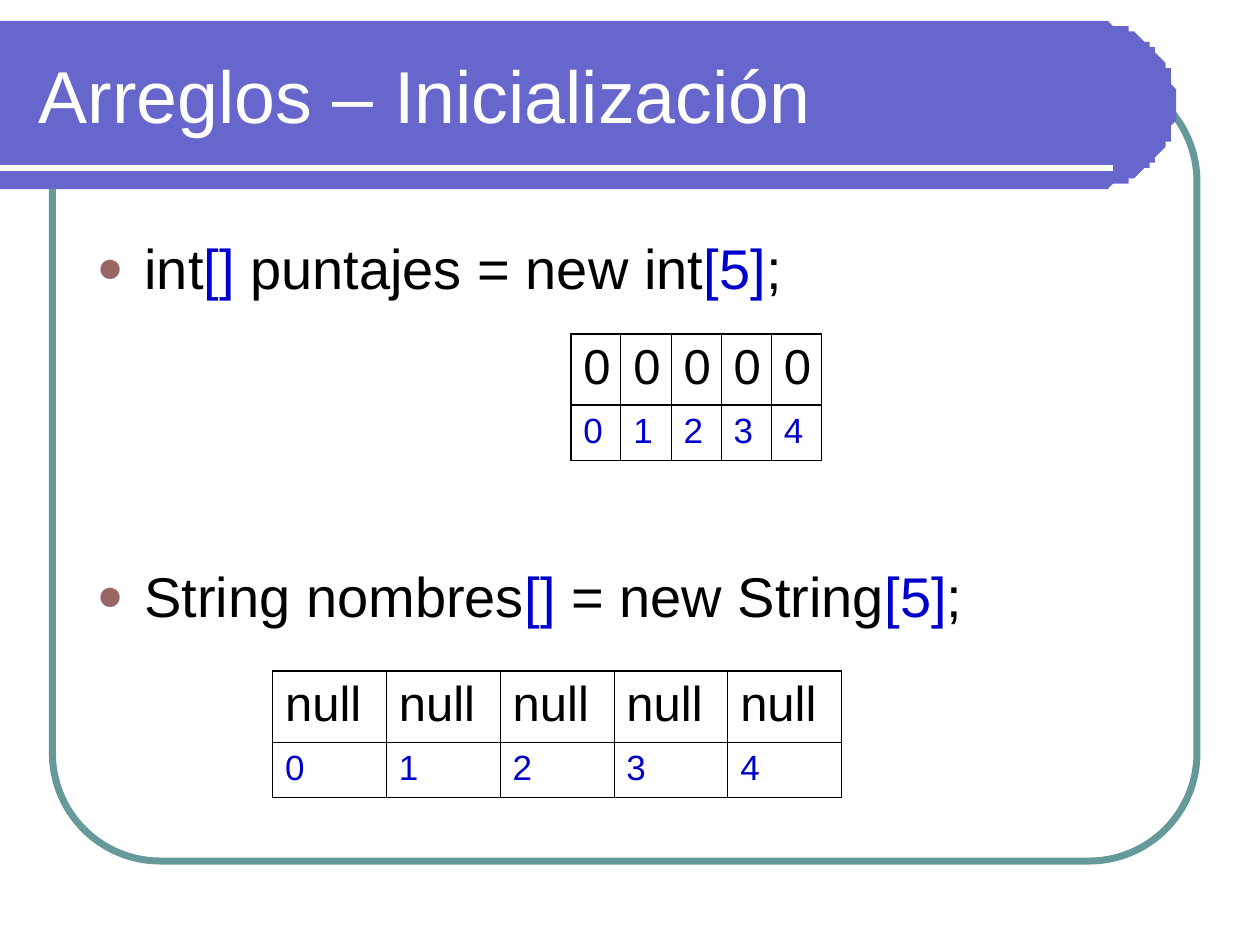
import math

from lxml import etree
from pptx import Presentation
from pptx import util as u
from pptx.dml.color import RGBColor
from pptx.enum import shapes, text
from pptx.oxml import ns

BLACK = RGBColor(0x00, 0x00, 0x00)
WHITE = RGBColor(0xFF, 0xFF, 0xFF)
BLUE = RGBColor(0x00, 0x00, 0xCC)
BAND = RGBColor(0x66, 0x66, 0xCC)
TEAL = RGBColor(0x66, 0x99, 0x99)
ROSE = RGBColor(0x99, 0x66, 0x66)

FACE = "Arial"
STEP = 24  # grid steps to the inch
THICK, THIN = 1.08, 0.45


def grid(n):
    return u.Inches(n / STEP)


def place(item, *box):
    for name, n in zip(("left", "top", "width", "height"), box):
        setattr(item, name, grid(n))


def apply(item, form):
    for name, value in form.items():
        setattr(item, name, value)


def add(node, tag, **attrs):
    return etree.SubElement(node, ns.qn(tag), attrs)


def write(para, words, size, color):
    run = para.add_run()
    run.text = words
    apply(run.font, {"name": FACE, "size": u.Pt(size), "bold": False})
    run.font.color.rgb = color


def frame(slide):
    box = slide.shapes.add_shape(
        shapes.MSO_SHAPE.ROUNDED_RECTANGLE, *map(grid, (10, 14, 218, 150)))
    box.adjustments[0] = 0.137
    box.fill.background()
    box.line.color.rgb = TEAL
    box.line.width = u.Pt(4)
    box.shadow.inherit = False


def band(slide):
    # Flat on the left, half circle on the right
    top, rad, mid = 4, 16, 208
    turns = [math.pi * (i / 60 - 0.5) for i in range(61)]
    curve = [(mid + rad * math.cos(t), top + rad + rad * math.sin(t))
             for t in turns]
    pen = slide.shapes.build_freeform(0, top, scale=u.Inches(1) / STEP)
    pen.add_line_segments(curve + [(0, top + 2 * rad)], close=True)
    form = pen.convert_to_shape()
    form.fill.solid()
    form.fill.fore_color.rgb = BAND
    form.line.fill.background()
    form.shadow.inherit = False


def rule(slide):
    line = slide.shapes.add_connector(
        shapes.MSO_CONNECTOR.STRAIGHT, *map(grid, (0, 32, 212, 32)))
    line.line.color.rgb = WHITE
    line.line.width = u.Pt(3)
    add(line.element.spPr, "a:effectLst")


def head(slide, words):
    title = slide.shapes.title
    place(title, 5, 6, 210.5, 24)
    apply(title.text_frame, {
        "vertical_anchor": text.MSO_ANCHOR.MIDDLE,
        "auto_size": text.MSO_AUTO_SIZE.NONE, "word_wrap": True})
    para = title.text_frame.paragraphs[0]
    para.alignment = text.PP_ALIGN.LEFT
    write(para, words, 42, WHITE)
    return title


def bullet(para):
    props = para._p.get_or_add_pPr()
    apply_in = {"marL": u.Inches(0.38), "indent": -u.Inches(0.38)}
    for name, value in apply_in.items():
        props.set(name, str(int(value)))
    add(add(props, "a:buClr"), "a:srgbClr", val=str(ROSE))
    add(props, "a:buSzPct", val="80000")
    add(props, "a:buFont", typeface=FACE)
    add(props, "a:buChar", char="●")


def code(slide, lines):
    body = slide.placeholders[1]
    place(body, 16, 42, 208, 116)
    tf = body.text_frame
    apply(tf, {"auto_size": text.MSO_AUTO_SIZE.NONE, "word_wrap": True,
               "margin_top": u.Inches(0.1)})
    for i, (gap, parts) in enumerate(lines):
        para = tf.add_paragraph() if i else tf.paragraphs[0]
        para.space_before = u.Pt(gap)
        bullet(para)
        for words in parts:
            write(para, words, 32, BLUE if words[0] == "[" else BLACK)
    return body


def border(cell, sides):
    props = cell._tc.get_or_add_tcPr()
    for side, width in sides.items():
        line = add(props, "a:" + side, w=str(int(u.Pt(width))))
        add(add(line, "a:solidFill"), "a:srgbClr", val=str(BLACK))


def array(slide, left, top, wide, value, count=5):
    rows = [  # words, height, size, space before, colour
        ([value] * count, 13.6, 28, 7, BLACK),
        ([str(i) for i in range(count)], 10.5, 20, 5, BLUE)]
    high = sum(row[1] for row in rows)
    table = slide.shapes.add_table(
        len(rows), count, *map(grid, (left, top, wide * count, high))).table
    apply(table, {"first_row": False, "horz_banding": False})
    for col in table.columns:
        col.width = grid(wide)
    for r, (words, tall, size, gap, color) in enumerate(rows):
        table.rows[r].height = grid(tall)
        for c, word in enumerate(words):
            cell = table.cell(r, c)
            border(cell, {"lnL": THIN if c else THICK,
                          "lnR": THIN if c < count - 1 else THICK,
                          "lnT": THICK, "lnB": THICK})
            cell.fill.background()
            para = cell.text_frame.paragraphs[0]
            para.space_before = u.Pt(gap)
            write(para, word, size, color)


def main():
    deck = Presentation()
    apply(deck, {"slide_width": u.Inches(10), "slide_height": u.Inches(7.5)})
    slide = deck.slides.add_slide(deck.slide_layouts[1])

    # Backdrop
    frame(slide)
    band(slide)
    rule(slide)

    # Title and list, brought in front of the backdrop
    title = head(slide, "Arreglos – Inicialización")
    body = code(slide, [
        (8, ["int", "[]", " puntajes = new int", "[5]", ";"]),
        (149, ["String nombres", "[]", " = new String", "[5]", ";"])])
    for item in (title, body):
        slide.shapes.element.append(item.element)

    # Arrays with their indexes
    array(slide, 108.7, 63.6, 9.56, "0")
    array(slide, 51.9, 127.8, 21.68, "null")

    deck.save("out.pptx")


if __name__ == "__main__":
    main()
